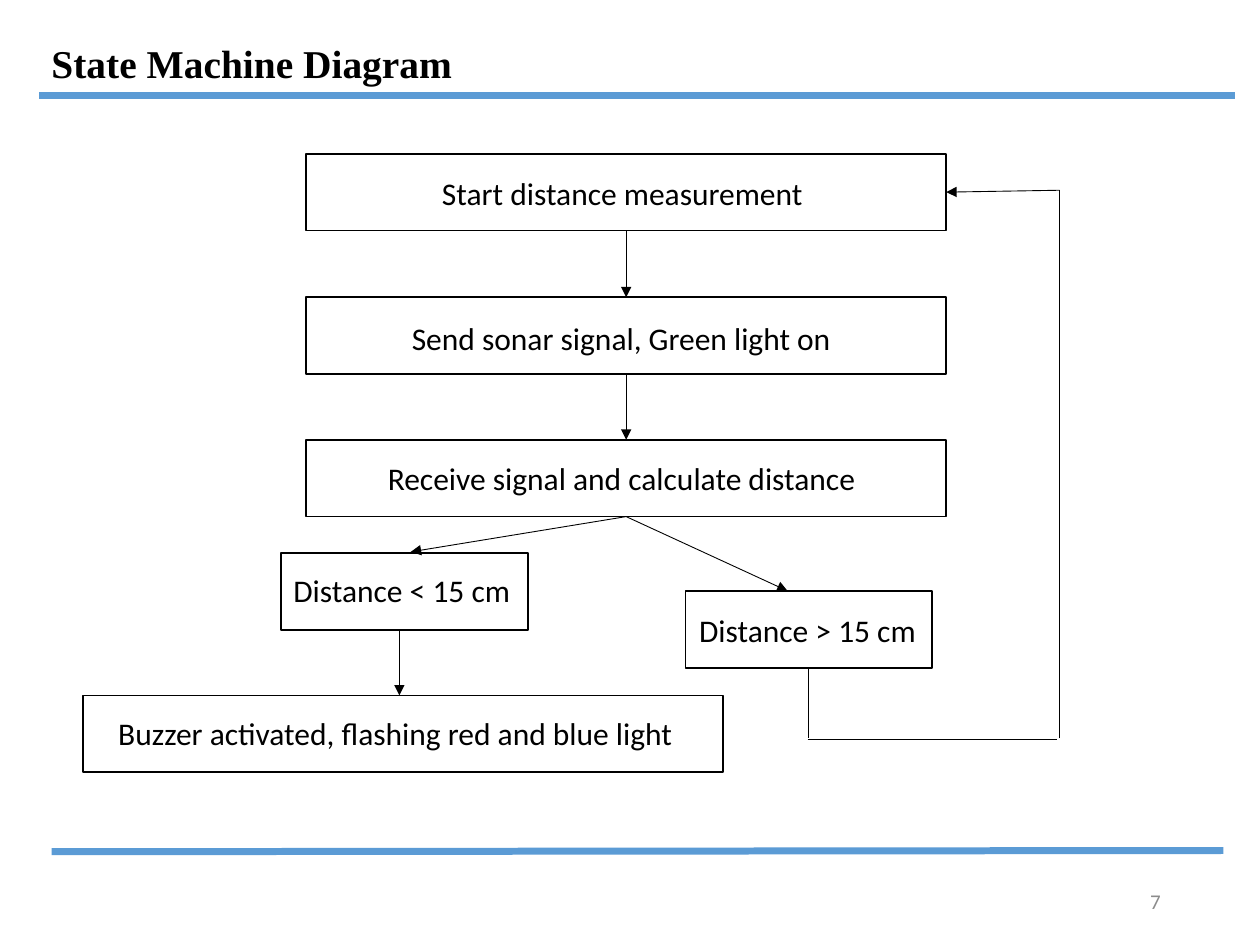
from lxml.etree import SubElement
from pptx import Presentation
from pptx.dml.color import RGBColor
from pptx.enum.shapes import MSO_CONNECTOR as Connector, MSO_SHAPE as Shape
from pptx.enum.text import MSO_ANCHOR as Anchor, PP_ALIGN as Align
from pptx.oxml.ns import qn
from pptx.util import Inches, Pt

COLORS = {"ink": "000000", "rule": "5B9BD5", "number": "8C8C8C"}

deck = Presentation()
deck.slide_width, deck.slide_height = Inches(10), Inches(7.5)
slide = deck.slides.add_slide(deck.slide_layouts[6])


def add_text(text, left, top, width, height=0.4, size=18, font="Calibri",
             color="ink", bold=False, align=Align.LEFT, anchor=Anchor.TOP, wrap=False):
    label = slide.shapes.add_textbox(Inches(left), Inches(top), Inches(width), Inches(height))
    frame = label.text_frame
    frame.word_wrap = wrap
    frame.vertical_anchor = anchor
    paragraph = frame.paragraphs[0]
    paragraph.alignment = align
    run = paragraph.add_run()
    run.text = text
    run.font.name = font
    run.font.size = Pt(size)
    run.font.bold = bold
    run.font.color.rgb = RGBColor.from_string(COLORS[color])


def add_line(start, end, color="ink", weight=0.5, arrow=False, source=None, target=None):
    line = slide.shapes.add_connector(Connector.STRAIGHT, *map(Inches, start + end))
    line.line.color.rgb = RGBColor.from_string(COLORS[color])
    line.line.width = Pt(weight)
    if arrow:
        SubElement(line.line._get_or_add_ln(), qn("a:tailEnd"), type="triangle")
    SubElement(line._element.spPr, qn("a:effectLst"))
    if source:
        line.begin_connect(*source)
    if target:
        line.end_connect(*target)


add_text("7", 7.06, 6.95, 2.25, size=12, color="number",
         align=Align.RIGHT, anchor=Anchor.MIDDLE, wrap=True)
add_text("State Machine Diagram", 0.31, 0.26, 3.41, height=0.48,
         size=22.5, font="Times New Roman", bold=True)
add_line((0.31, 0.76), (9.8, 0.76), color="rule", weight=4)
add_line((0.41, 6.76), (9.71, 6.75), color="rule", weight=4)

WIDE, NARROW, STATE_HEIGHT = 5.08, 1.96, 0.61
states = [
    ("Start distance measurement", 2.43, 1.22, WIDE, 3.41, 1.33, 3.1),
    ("Send sonar signal, Green light on", 2.43, 2.36, WIDE, 3.17, 2.48, 3.6),
    ("Receive signal and calculate distance", 2.43, 3.49, WIDE, 2.98, 3.59, 3.96),
    ("Distance < 15 cm", 2.23, 4.39, NARROW, 2.23, 4.48, 1.94),
    ("Distance > 15 cm", 5.44, 4.69, NARROW, 5.45, 4.8, 1.94),
    ("Buzzer activated, flashing red and blue light", 0.66, 5.52, WIDE, 0.84, 5.62, 4.66),
]
boxes = []
for text, left, top, width, text_left, text_top, text_width in states:
    box = slide.shapes.add_shape(Shape.RECTANGLE, Inches(left), Inches(top),
                                 Inches(width), Inches(STATE_HEIGHT))
    box.shadow.inherit = False
    box.fill.background()
    box.line.color.rgb = RGBColor.from_string(COLORS["ink"])
    box.line.width = Pt(1)
    boxes.append(box)
    add_text(text, text_left, text_top, text_width)

start, send, receive, near, far, buzzer = boxes
add_line((4.97, 1.83), (4.97, 2.36), arrow=True, source=(start, 2), target=(send, 0))
add_line((4.97, 2.97), (4.97, 3.49), arrow=True, source=(send, 2), target=(receive, 0))
add_line((4.97, 4.1), (3.26, 4.38), arrow=True, source=(receive, 2))
add_line((4.97, 4.1), (6.25, 4.69), arrow=True, source=(receive, 2))
add_line((3.17, 5), (3.17, 5.52), arrow=True)
add_line((6.42, 5.3), (6.42, 5.86), source=(far, 2))
add_line((6.41, 5.87), (8.39, 5.87))
add_line((8.41, 5.86), (8.41, 1.51))
add_line((8.41, 1.51), (7.51, 1.53), arrow=True, target=(start, 3))

deck.save("out.pptx")
